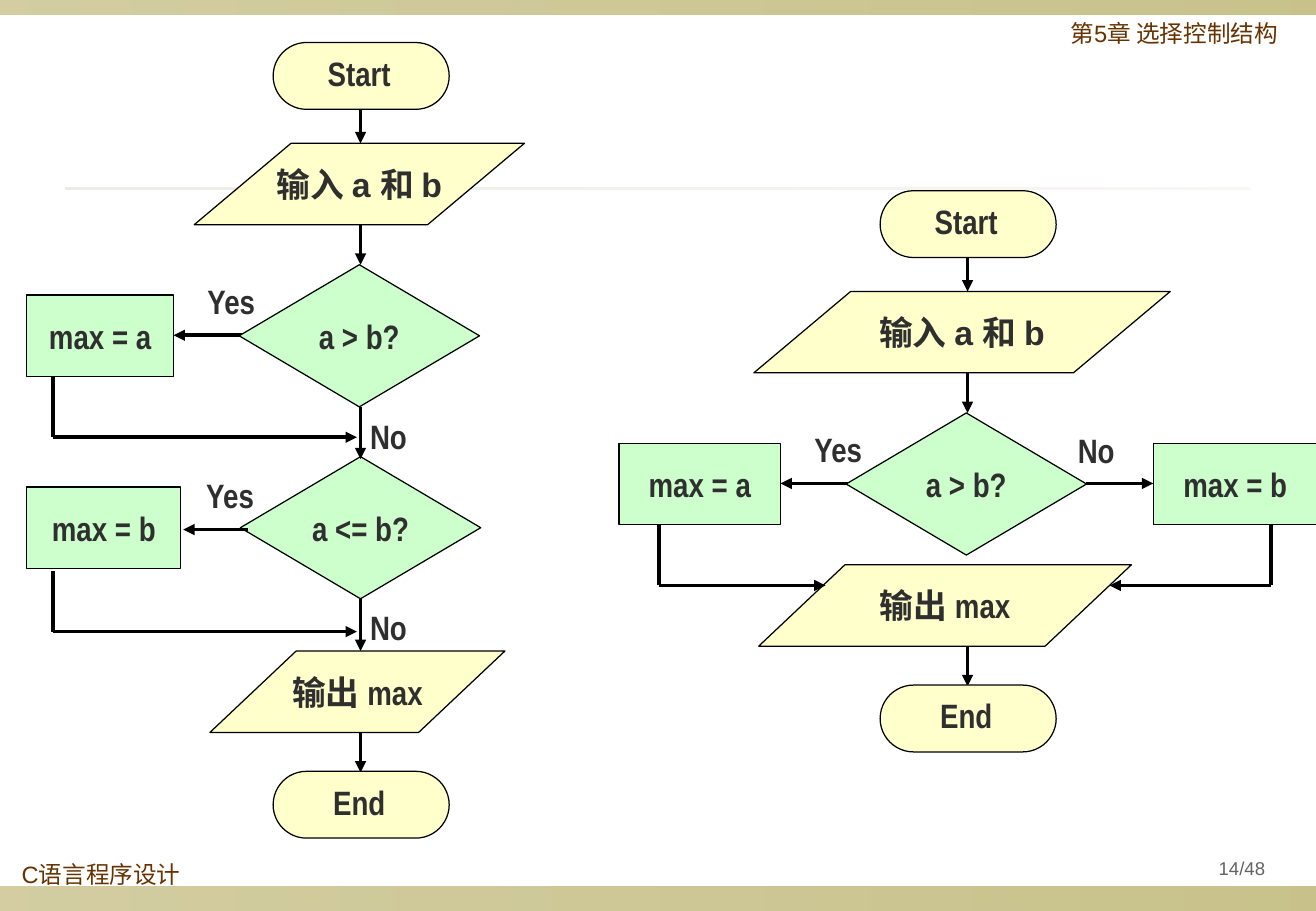
from dataclasses import dataclass

import pptx
import pptx.dml.color
import pptx.enum.shapes
import pptx.enum.text
import pptx.oxml.ns
import pptx.util
from lxml import etree

Inches = pptx.util.Inches
Pt = pptx.util.Pt
Shape = pptx.enum.shapes.MSO_SHAPE
Align = pptx.enum.text.PP_ALIGN
Anchor = pptx.enum.text.MSO_ANCHOR
qn = pptx.oxml.ns.qn


@dataclass(frozen=True)
class Theme:
    band: str = "918415"
    rule: str = "DCD9CC"
    caption: str = "663300"
    number: str = "636363"
    ink: str = "2F2F2F"
    line: str = "000000"
    cream: str = "FFFFCC"
    green: str = "CCFFCC"
    sans: str = "Arial"
    narrow: str = "Arial Narrow"
    chinese: str = "Noto Sans CJK SC"
    flow_size: int = 20
    caption_size: int = 14
    number_size: int = 11
    outline: float = 0.75
    arrow: float = 2.25


THEME = Theme()
STEP_HEIGHT = 0.67
DECISION = (1.98, 1.17)
TERMINAL = (1.45, 0.55)
LABEL = (0.7, 0.44)


def rgb(value):
    return pptx.dml.color.RGBColor.from_string(value)


def add_span(para, text, face, size, color, bold=False):
    span = para.add_run()
    span.text = text
    span.font.size = Pt(size)
    span.font.bold = bold
    span.font.color.rgb = rgb(color)
    span.font.name = face
    east_asian = etree.SubElement(span.font._element, qn("a:ea"))
    east_asian.set("typeface", THEME.chinese)


def write_flow(shape, spans, align=Align.CENTER, wrap=False):
    frame = shape.text_frame
    frame.word_wrap = wrap
    para = frame.paragraphs[0]
    para.alignment = align
    para.space_after = Pt(5.9)
    for text, face in spans:
        add_span(para, text, face, THEME.flow_size, THEME.ink, True)


def gradient_bar(page, left, top, width, height, color, opacities):
    bar = page.shapes.add_shape(Shape.RECTANGLE, Inches(left), Inches(top), Inches(width), Inches(height))
    bar.shadow.inherit = False
    bar.line.fill.background()
    bar.fill.gradient()
    bar.fill.gradient_angle = 0
    for stop in bar.fill.gradient_stops:
        stop.color.rgb = rgb(color)
    for node, opacity in zip(bar._element.iter(qn("a:srgbClr")), opacities):
        etree.SubElement(node, qn("a:alpha")).set("val", str(opacity * 1000))


def caption(page, left, top, width, height, text, size, color):
    box = page.shapes.add_textbox(Inches(left), Inches(top), Inches(width), Inches(height))
    box.text_frame.word_wrap = True
    para = box.text_frame.paragraphs[0]
    para.line_spacing = 0.9
    add_span(para, text, THEME.sans, size, color)
    return box


def page_frame(page, width, height):
    gradient_bar(page, 0, height - 0.2, width, 0.2, THEME.band, (40, 50))
    gradient_bar(page, 0, 0, width, 0.12, THEME.band, (40, 50))
    gradient_bar(page, 0.54, 1.54, 9.75, 0.02, THEME.rule, (50, 20))
    caption(page, 8.72, 0.13, 2.05, 0.39, "第5章 选择控制结构", THEME.caption_size, THEME.caption)
    caption(page, 0.08, 7.06, 2.35, 0.39, "C语言程序设计", THEME.caption_size, THEME.caption)
    number = caption(page, 9.69, 7, 1.08, 0.31, "14/48", THEME.number_size, THEME.number)
    frame = number.text_frame
    frame.vertical_anchor = Anchor.MIDDLE
    frame.margin_left = frame.margin_right = Inches(0.05)
    frame.paragraphs[0].alignment = Align.CENTER
    frame.paragraphs[0].space_after = Pt(5.9)


class Flowchart:
    """Places parts relative to the chart's vertical spine and its top."""

    def __init__(self, page, spine, top):
        self.page, self.spine, self.top = page, spine, top

    def node(self, kind, left, top, width, height, fill, spans, slant=None):
        shape = self.page.shapes.add_shape(
            kind, Inches(self.spine + left), Inches(self.top + top), Inches(width), Inches(height))
        shape.shadow.inherit = False
        shape.fill.solid()
        shape.fill.fore_color.rgb = rgb(fill)
        shape.line.color.rgb = rgb(THEME.line)
        shape.line.width = Pt(THEME.outline)
        if slant is not None:
            shape.adjustments[0] = slant
        shape.text_frame.vertical_anchor = Anchor.MIDDLE
        write_flow(shape, spans)
        return shape

    def terminal(self, top, text):
        shape = self.node(Shape.ROUNDED_RECTANGLE, -0.72, top, *TERMINAL, THEME.cream,
                          [(text, THEME.narrow)], 0.5)
        shape.text_frame.margin_bottom = Inches(0.1)
        shape.text_frame.margin_right = Inches(0.13)

    def data(self, left, top, width, spans, slant):
        self.node(Shape.PARALLELOGRAM, left, top, width, STEP_HEIGHT, THEME.cream, spans, slant)

    def decision(self, left, top, text):
        self.node(Shape.DIAMOND, left, top, *DECISION, THEME.green, [(text, THEME.narrow)])

    def process(self, left, top, width, text):
        self.node(Shape.RECTANGLE, left, top, width, STEP_HEIGHT, THEME.green, [(text, THEME.narrow)])

    def line(self, x1, y1, x2, y2, arrow=True):
        link = self.page.shapes.add_connector(
            pptx.enum.shapes.MSO_CONNECTOR.STRAIGHT,
            Inches(self.spine + x1), Inches(self.top + y1), Inches(self.spine + x2), Inches(self.top + y2))
        link.line.color.rgb = rgb(THEME.line)
        link.line.width = Pt(THEME.arrow)
        if arrow:
            etree.SubElement(link.line._get_or_add_ln(), qn("a:tailEnd")).set("type", "triangle")
        etree.SubElement(link._element.spPr, qn("a:effectLst"))

    def label(self, left, top, text):
        width, height = LABEL
        box = self.page.shapes.add_textbox(
            Inches(self.spine + left), Inches(self.top + top), Inches(width), Inches(height))
        write_flow(box, [(text, THEME.narrow)], Align.LEFT, wrap=True)

    def rejoin(self, x, top, end):
        """Lead a branch down from its step and back towards the spine."""
        self.line(x, top, x, top + 0.5, arrow=False)
        self.line(x, top + 0.5, end, top + 0.5)

    def opening(self, input_left, input_width, step_left, step_width):
        """Start, input, first test and its Yes branch."""
        self.line(-0.9, 2.41, -1.54, 2.41)
        self.label(-1.36, 1.91, "Yes")
        self.terminal(0, "Start")
        self.data(input_left, 0.83, input_width, [("输入 a 和 b", THEME.sans)], 1.19)
        self.decision(-1, 1.83, "a > b?")
        self.process(step_left, 2.08, step_width, "max = a")
        self.line(0, 0.55, 0, 0.83)
        self.line(0, 1.5, 0, 1.83)

    def closing(self, left, top, width):
        self.data(left, top, width, [("输出 ", THEME.chinese), ("max", THEME.narrow)], 1.06)
        self.line(0, top + 0.67, 0, top + 1)
        self.terminal(top + 0.99, "End")


def two_test_chart(page, spine, top):
    chart = Flowchart(page, spine, top)
    chart.opening(-1.37, 2.72, -2.75, 1.21)
    chart.closing(-1.24, 5.01, 2.43)
    chart.decision(-0.99, 3.41, "a <= b?")
    chart.process(-2.75, 3.66, 1.27, "max = b")
    chart.line(-0.93, 4.01, -1.46, 4.01)
    chart.label(-1.37, 3.51, "Yes")
    for rejoin_top, no_top in ((2.75, 3), (4.35, 4.58)):
        chart.rejoin(-2.53, rejoin_top, -0.03)
        chart.line(0, no_top, 0, no_top + 0.43)
        chart.label(-0.02, no_top + 0.02, "No")


def two_branch_chart(page, spine, top):
    chart = Flowchart(page, spine, top)
    chart.opening(-1.76, 3.43, -2.87, 1.33)
    chart.closing(-1.72, 3.08, 3.07)
    chart.process(1.53, 2.08, 1.35, "max = b")
    chart.line(0.98, 2.41, 1.53, 2.41)
    chart.label(0.81, 1.92, "No")
    for x, end in ((-2.54, -1.17), (2.5, 1.17)):
        chart.rejoin(x, 2.75, end)


def main():
    deck = pptx.Presentation()
    deck.slide_width, deck.slide_height = Inches(10.84), Inches(7.5)
    page = deck.slides.add_slide(deck.slide_layouts[6])
    page_frame(page, 10.84, 7.5)
    two_test_chart(page, 2.97, 0.35)
    two_branch_chart(page, 7.97, 1.57)
    deck.save("out.pptx")


if __name__ == "__main__":
    main()
